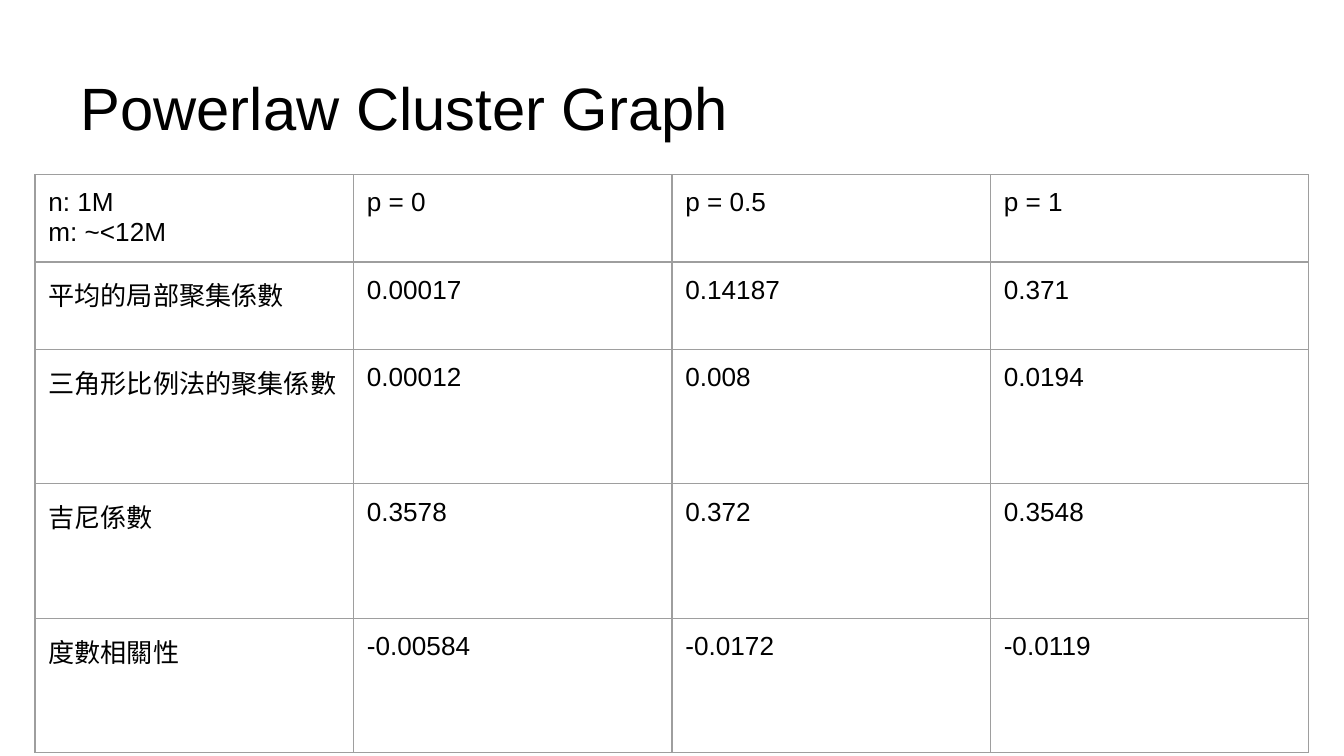
"""Build the Powerlaw Cluster Graph slide with its table of coefficients."""
from lxml.etree import SubElement
from pptx import Presentation
from pptx.dml.color import RGBColor
from pptx.enum.text import MSO_ANCHOR, MSO_AUTO_SIZE, PP_ALIGN
from pptx.oxml.ns import qn
from pptx.util import Inches, Pt

BLACK = RGBColor(0x00, 0x00, 0x00)
GREY = RGBColor(0x9E, 0x9E, 0x9E)
INSET = Inches(0.1)
ROW_HEIGHTS = [0.65, 0.65, 1, 1, 1]
COLUMN_WIDTH = 2.37
ROWS = [
    ["n: 1M\nm: ~<12M", "p = 0", "p = 0.5", "p = 1"],
    ["平均的局部聚集係數", "0.00017", "0.14187", "0.371"],
    ["三角形比例法的聚集係數", "0.00012", "0.008", "0.0194"],
    ["吉尼係數", "0.3578", "0.372", "0.3548"],
    ["度數相關性", "-0.00584", "-0.0172", "-0.0119"],
]


def style_paragraph(paragraph, size):
    paragraph.alignment = PP_ALIGN.LEFT
    paragraph.font.name = "Arial"
    paragraph.font.size = Pt(size)
    paragraph.font.color.rgb = BLACK


def add_borders(cell):
    properties = cell._tc.get_or_add_tcPr()
    for side in ("a:lnL", "a:lnR", "a:lnT", "a:lnB"):
        line = SubElement(properties, qn(side), w=str(Pt(0.75)))
        fill = SubElement(line, qn("a:solidFill"))
        SubElement(fill, qn("a:srgbClr"), val=str(GREY))


deck = Presentation()
deck.slide_width = Inches(10)
deck.slide_height = Inches(10) * 9 // 16
page = deck.slides.add_slide(deck.slide_layouts[5])

title = page.shapes.title
title.left, title.top = Inches(0.5), Inches(0.42)
title.width, title.height = Inches(6.78), Inches(0.74)
frame = title.text_frame
frame.text = "Powerlaw Cluster Graph"
frame.auto_size = MSO_AUTO_SIZE.NONE
frame.vertical_anchor = MSO_ANCHOR.MIDDLE
frame.margin_left = frame.margin_right = INSET
frame.margin_top = frame.margin_bottom = INSET
style_paragraph(frame.paragraphs[0], 32)

table = page.shapes.add_table(
    len(ROWS), len(ROWS[0]), Inches(0.26), Inches(1.3),
    Inches(COLUMN_WIDTH * len(ROWS[0])), Inches(sum(ROW_HEIGHTS)),
).table
table.first_row = False
table.horz_banding = False
for column in table.columns:
    column.width = Inches(COLUMN_WIDTH)
for row, height, texts in zip(table.rows, ROW_HEIGHTS, ROWS):
    row.height = Inches(height)
    for cell, text in zip(row.cells, texts):
        cell.text = text
        cell.margin_left = cell.margin_right = INSET
        cell.margin_top = cell.margin_bottom = INSET
        add_borders(cell)
        cell.fill.background()
        for paragraph in cell.text_frame.paragraphs:
            style_paragraph(paragraph, 14)

deck.save("out.pptx")
